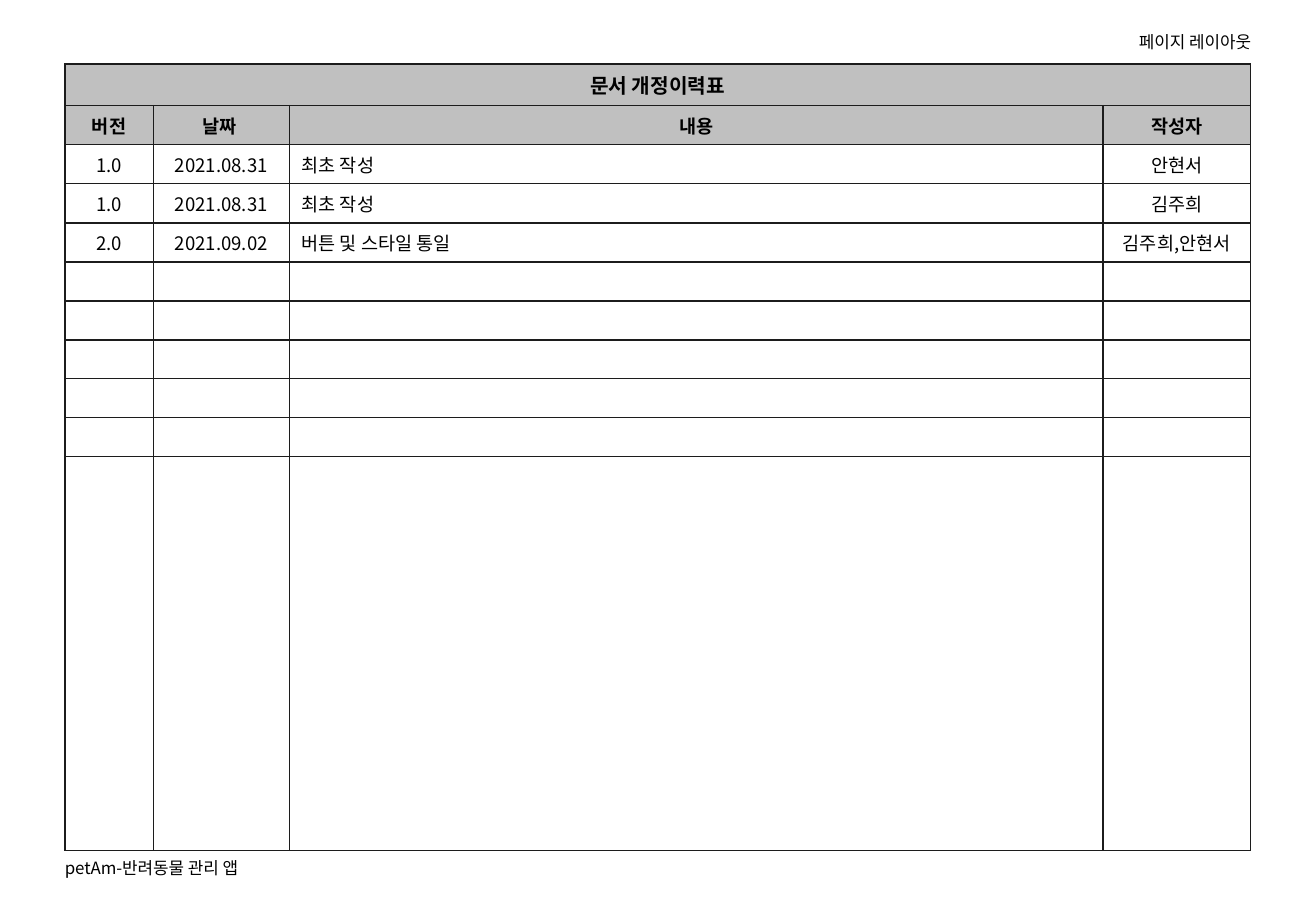
"""Build the document revision history slide."""
from lxml.etree import SubElement
from pptx import Presentation
from pptx.dml.color import RGBColor
from pptx.enum.shapes import MSO_SHAPE as Shape
from pptx.enum.text import MSO_ANCHOR as Anchor, PP_ALIGN as Align
from pptx.oxml import parse_xml
from pptx.oxml.ns import nsdecls, qn
from pptx.util import Pt

BLACK = RGBColor(0x00, 0x00, 0x00)
WHITE = RGBColor(0xFF, 0xFF, 0xFF)
GRAY = RGBColor(0xC0, 0xC0, 0xC0)
BORDER = RGBColor(0x1C, 0x1C, 0x1C)
FONT = "Noto Sans CJK KR"
TITLE = "문서 개정이력표"
HEADERS = ["버전", "날짜 ", "내용", "작성자"]
REVISIONS = [
    ["1.0", "2021.08.31", "최초 작성", "안현서"],
    ["1.0", "2021.08.31", "최초 작성", "김주희"],
    ["2.0", "2021.09.02", "버튼 및 스타일 통일", "김주희,안현서"],
]
COLUMN_WIDTHS = [52.5, 80.6, 482.3, 87.4]
ROW_HEIGHTS = [24] + [23.1] * 9 + [233.5]
CONTENT_COLUMN = 2


def write(frame, text, size, align, bold=False):
    """Put one styled line of text in a frame."""
    para = frame.paragraphs[0]
    para.alignment = align
    span = para.add_run()
    span.text = text
    style = {"name": FONT, "size": Pt(size), "bold": bold}
    for key, value in style.items():
        setattr(span.font, key, value)
    span.font.color.rgb = BLACK
    SubElement(span.font._element, qn("a:ea"), typeface=FONT)


def add_borders(cell):
    """Draw a one-point line on each side of a cell."""
    properties = cell._tc.get_or_add_tcPr()
    for side in ("lnL", "lnR", "lnT", "lnB"):
        properties.append(parse_xml(
            f'<a:{side} {nsdecls("a")} w="{Pt(1)}"><a:solidFill>'
            f'<a:srgbClr val="{BORDER}"/></a:solidFill></a:{side}>'))


deck = Presentation()
deck.slide_width, deck.slide_height = Pt(780), Pt(540)
page = deck.slides.add_slide(deck.slide_layouts[6])

history = page.shapes.add_table(
    len(ROW_HEIGHTS), len(COLUMN_WIDTHS), Pt(38.4), Pt(37.9),
    Pt(sum(COLUMN_WIDTHS)), Pt(sum(ROW_HEIGHTS))).table
history.first_row = history.horz_banding = False
for column, width in zip(history.columns, COLUMN_WIDTHS):
    column.width = Pt(width)
for row, height in zip(history.rows, ROW_HEIGHTS):
    row.height = Pt(height)
history.cell(0, 0).merge(history.cell(0, len(COLUMN_WIDTHS) - 1))

texts = [[TITLE], HEADERS] + REVISIONS
for row_index, row in enumerate(history.rows):
    is_header = row_index < 2
    row_texts = texts[row_index] if row_index < len(texts) else []
    for column_index, cell in enumerate(row.cells):
        add_borders(cell)
        cell.vertical_anchor = Anchor.MIDDLE
        if is_header:
            cell.fill.solid()
            cell.fill.fore_color.rgb = GRAY
        else:
            cell.fill.background()
        if column_index < len(row_texts):
            left = column_index == CONTENT_COLUMN and not is_header
            write(cell.text_frame, row_texts[column_index],
                  12 if row_index == 0 else 11,
                  Align.LEFT if left else Align.CENTER, is_header)
        else:
            para = cell.text_frame.paragraphs[0]
            SubElement(para._p, qn("a:endParaRPr"), sz="1100")

footer = page.shapes.add_shape(
    Shape.RECTANGLE, Pt(38.4), Pt(506.6), Pt(255), Pt(15))
footer.shadow.inherit = False
footer.fill.solid()
footer.fill.fore_color.rgb = WHITE
footer.line.fill.background()
header = page.shapes.add_textbox(Pt(512), Pt(17.3), Pt(229.5), Pt(15))

for box, text, align in [
    (footer, "petAm-반려동물 관리 앱", Align.LEFT),
    (header, "페이지 레이아웃", Align.RIGHT),
]:
    frame = box.text_frame
    layout = {
        "word_wrap": True, "vertical_anchor": Anchor.MIDDLE,
        "margin_left": 0, "margin_right": 0,
        "margin_top": 0, "margin_bottom": 0,
    }
    for key, value in layout.items():
        setattr(frame, key, value)
    write(frame, text, 10, align)

deck.save("out.pptx")
